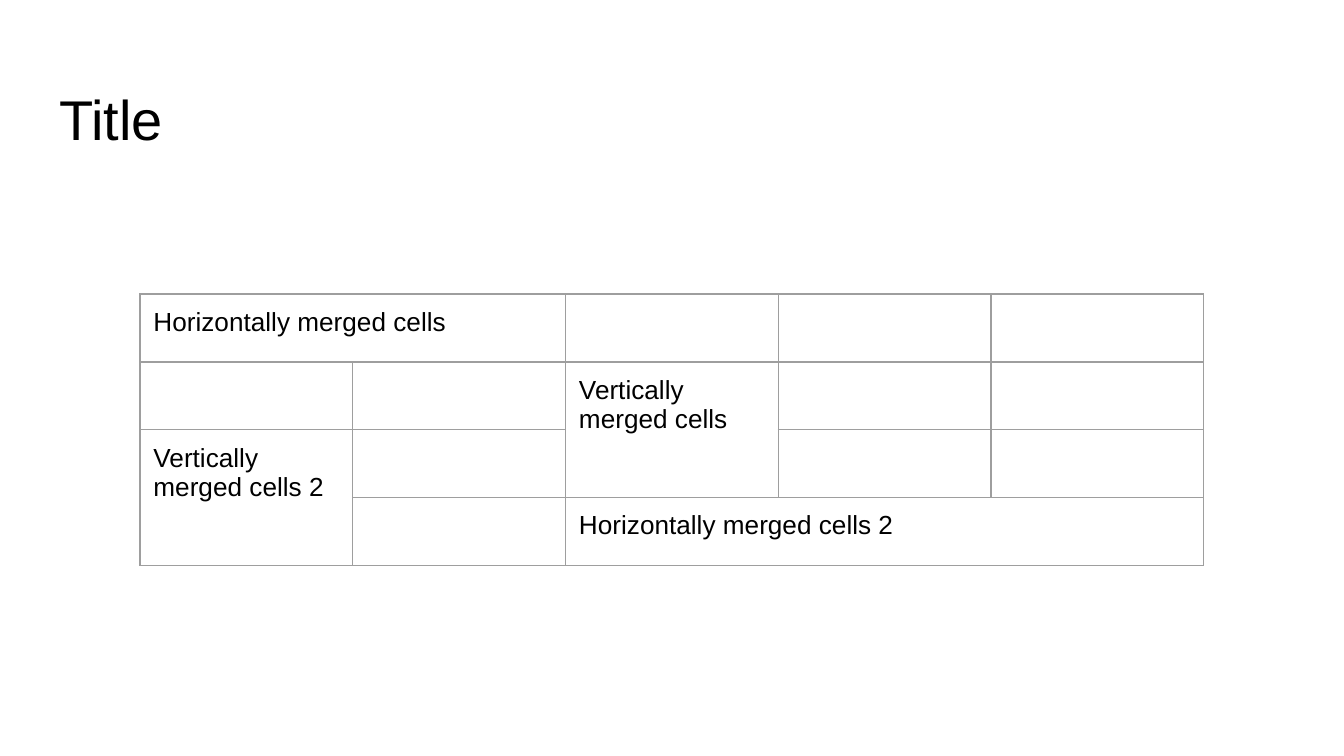
from lxml.etree import SubElement
from pptx import Presentation
from pptx.dml.color import RGBColor as RGB
from pptx.enum.text import MSO_ANCHOR as Anchor, MSO_AUTO_SIZE as AutoSize, PP_ALIGN as Align
from pptx.oxml.ns import qn
from pptx.util import Pt

COLORS = {"text": "000000", "border": "9E9E9E"}
FONT = "Arial"
INSET = 7.2
ROWS, COLUMNS = 4, 5
MERGES = [
    (0, 0, 1, 2, "Horizontally merged cells"),
    (1, 2, 2, 1, "Vertically merged cells"),
    (2, 0, 2, 1, "Vertically merged cells 2"),
    (3, 2, 1, 3, "Horizontally merged cells 2"),
]


def add_text(paragraph, words, size):
    paragraph.alignment = Align.LEFT
    run = paragraph.add_run()
    run.text = words
    run.font.name = FONT
    run.font.size = Pt(size)
    run.font.color.rgb = RGB.from_string(COLORS["text"])


def set_insets(holder, top=INSET):
    holder.margin_left = holder.margin_right = holder.margin_bottom = Pt(INSET)
    holder.margin_top = Pt(top)


def place_heading(slide, left, top, width, height):
    heading = slide.shapes.title
    heading.left, heading.top = Pt(left), Pt(top)
    heading.width, heading.height = Pt(width), Pt(height)
    frame = heading.text_frame
    frame.auto_size = AutoSize.NONE
    frame.word_wrap = True
    frame.vertical_anchor = Anchor.TOP
    set_insets(frame, top=10)
    add_text(frame.paragraphs[0], "Title", 30)


def outline_cell(cell):
    properties = cell._tc.get_or_add_tcPr()
    for position, side in enumerate(("a:lnL", "a:lnR", "a:lnT", "a:lnB")):
        line = SubElement(properties, qn(side), w=str(Pt(0.75)))
        properties.insert(position, line)
        fill = SubElement(line, qn("a:solidFill"))
        SubElement(fill, qn("a:srgbClr"), val=COLORS["border"])


def place_merge_grid(slide, left, top, width, height):
    grid = slide.shapes.add_table(
        ROWS, COLUMNS, Pt(left), Pt(top), Pt(width), Pt(height)
    ).table
    grid.first_row = grid.horz_banding = False
    for cell in grid.iter_cells():
        set_insets(cell)
        cell.fill.background()
        outline_cell(cell)
    for row, column, row_span, column_span, words in MERGES:
        corner = grid.cell(row, column)
        corner.merge(grid.cell(row + row_span - 1, column + column_span - 1))
        add_text(corner.text_frame.paragraphs[0], words, 14)


def main():
    deck = Presentation()
    deck.slide_width, deck.slide_height = Pt(720), Pt(405)
    slide = deck.slides.add_slide(deck.slide_layouts[5])
    place_heading(slide, 24.5, 35, 671, 45)
    place_merge_grid(slide, 75, 157.5, 570, 120)
    deck.save("out.pptx")


if __name__ == "__main__":
    main()
